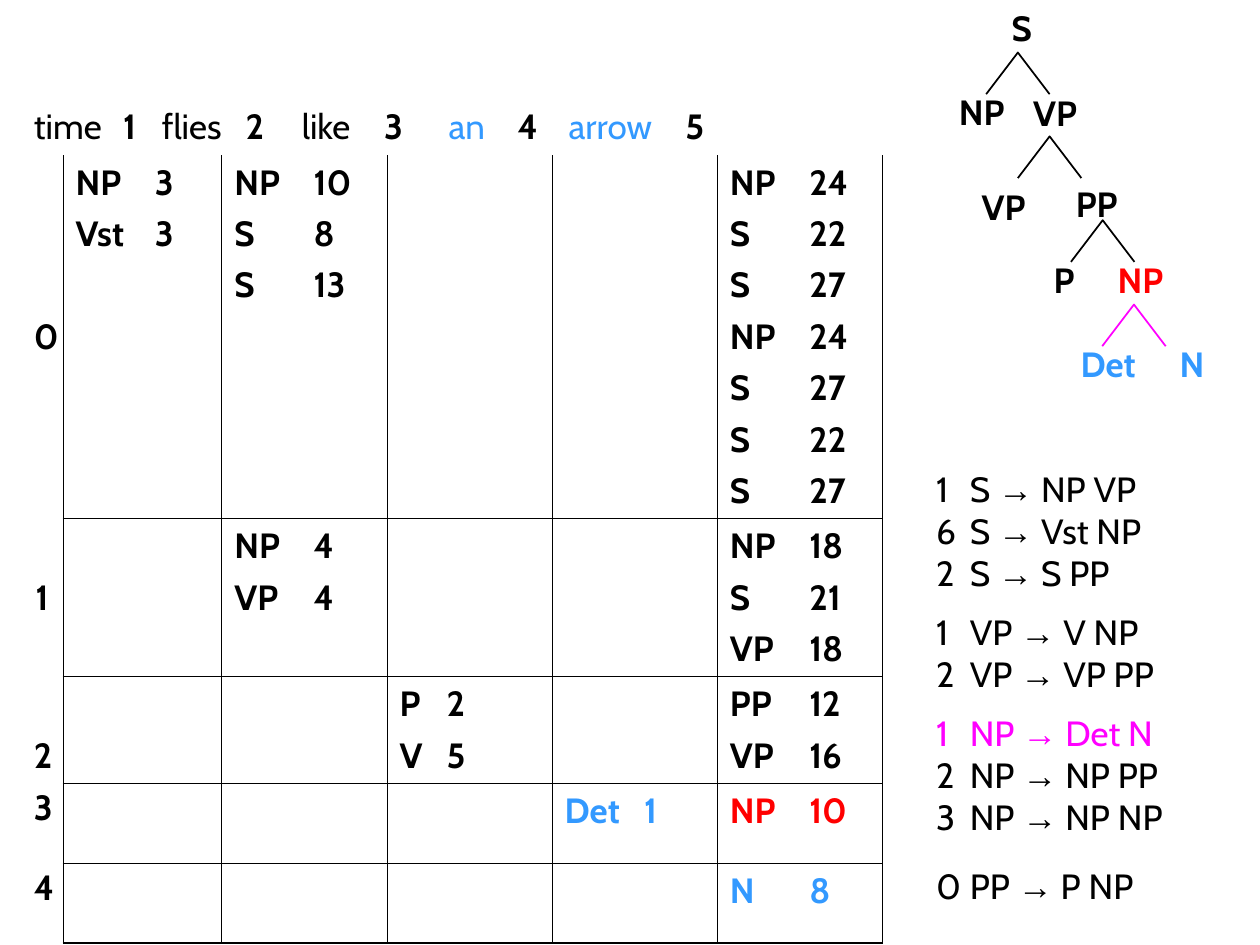
import lxml.etree
import pptx
import pptx.dml.color
import pptx.enum.text
import pptx.oxml.ns
import pptx.util

Cm = pptx.util.Cm
Pt = pptx.util.Pt
RGBColor = pptx.dml.color.RGBColor
CENTER = pptx.enum.text.PP_ALIGN.CENTER
qn = pptx.oxml.ns.qn

BLACK = RGBColor(0x00, 0x00, 0x00)
BLUE = RGBColor(0x33, 0x99, 0xFF)
RED = RGBColor(0xFF, 0x00, 0x00)
PINK = RGBColor(0xFF, 0x00, 0xFF)
FACE = "Cabin"
SIZE = Pt(20)
THIN = Pt(0.45)
THICK = Pt(1.08)

COLS = [0.84, 3.2] + [3.33] * 4
ROWS = [1.09, 7.24, 3.15, 2.13, 1.61, 1.61]
STOPS = [1.8, 2.58, 4.27, 5.4, 7.06, 8.36, 9.75, 10.78, 13.13]
WORDS = [("time", BLACK), ("flies", BLACK), ("like", BLACK), ("an", BLUE), ("arrow", BLUE)]
LABELS = [("0", 1, 3.24), ("1", 2.2, 0.13), ("2", 2.2, 0.13), ("3", 0.9, 0.13), ("4", 0.9, 0.13)]
CHART = [
    (1, 1, "NP\t3\nVst\t3", 1.6, BLACK),
    (1, 2, "NP\t10\nS\t8\nS\t13", 1.6, BLACK),
    (1, 5, "NP\t24\nS\t22\nS\t27\nNP\t24\nS\t27\nS\t22\nS\t27", 1.6, BLACK),
    (2, 2, "NP\t4\nVP\t4", 1.6, BLACK),
    (2, 5, "NP\t18\nS\t21\nVP\t18", 1.6, BLACK),
    (3, 3, "P\t2\nV\t5", 0.95, BLACK),
    (3, 5, "PP\t12\nVP\t16", 1.6, BLACK),
    (4, 4, "Det\t1", 1.6, BLUE),
    (4, 5, "NP\t10", 1.6, RED),
    (5, 5, "N\t8", 1.6, BLUE),
]
RULES = [
    ("1", "S", "NP VP", 0, BLACK),
    ("6", "S", "Vst NP", 0, BLACK),
    ("2", "S", "S PP", 0, BLACK),
    ("1", "VP", "V NP", 9.6, BLACK),
    ("2", "VP", "VP PP", 0, BLACK),
    ("1", "NP", "Det N", 9.6, PINK),
    ("2", "NP", "NP PP", 0, BLACK),
    ("3", "NP", "NP NP", 0, BLACK),
    ("0", "PP", "P NP", 15.4, BLACK),
]
NODES = [
    ("S", 1.57, 0, 0.89, BLACK),
    ("NP", 0.77, 1.7, 1.52, BLACK),
    ("VP", 2.25, 1.73, 1.4, BLACK),
    ("VP", 1.21, 3.61, 1.4, BLACK),
    ("PP", 3.09, 3.56, 1.4, BLACK),
    ("P", 2.43, 5.08, 0.94, BLACK),
    ("NP", 3.97, 5.08, 1.52, RED),
    ("Det", 3.32, 6.78, 1.75, BLUE),
    ("N", 5.01, 6.78, 1.07, BLUE),
]
FORKS = [(1.5, 1.06, BLACK), (2.14, 2.75, BLACK), (3.21, 4.44, BLACK), (3.84, 6.14, PINK)]


def style(run, color, bold, face=FACE):
    run.font.name = face
    run.font.size = SIZE
    run.font.bold = bold
    run.font.color.rgb = color


def add_run(para, text, color, bold, face=FACE):
    run = para.add_run()
    run.text = text
    style(run, color, bold, face)


def set_tabs(para, stops):
    tabs = lxml.etree.SubElement(para._p.get_or_add_pPr(), qn("a:tabLst"))
    for stop in stops:
        lxml.etree.SubElement(tabs, qn("a:tab"), pos=str(int(Cm(stop))), algn="l")


def set_edge(cell, side, width):
    line = lxml.etree.SubElement(cell._tc.get_or_add_tcPr(), qn("a:" + side))
    if not width:
        lxml.etree.SubElement(line, qn("a:noFill"))
        return
    line.set("w", str(int(width)))
    fill = lxml.etree.SubElement(line, qn("a:solidFill"))
    lxml.etree.SubElement(fill, qn("a:srgbClr"), val=str(BLACK))


def rule_cell(cell, row, col):
    body = row > 0
    inner = body and col > 0
    right = THICK if col == len(COLS) - 1 else THIN
    base = THICK if row == len(ROWS) - 1 else THIN
    set_edge(cell, "lnL", THIN if inner else None)
    set_edge(cell, "lnR", right if body else None)
    set_edge(cell, "lnT", THIN if inner and row > 1 else None)
    set_edge(cell, "lnB", base if inner else None)
    cell.fill.background()


def fill_head(cell):
    para = cell.text_frame.paragraphs[0]
    set_tabs(para, STOPS)
    for num, (word, color) in enumerate(WORDS, 1):
        add_run(para, word if num == 1 else "\t" + word, color, False)
        add_run(para, f"\t{num}", BLACK, True)


def fill_label(cell, text, space, top):
    cell.margin_top = Cm(top)
    para = cell.text_frame.paragraphs[0]
    para.text = text
    para.alignment = CENTER
    para.line_spacing = space
    style(para.runs[0], BLACK, True)


def fill_cell(cell, text, stop, color):
    cell.text_frame.text = text
    for num, para in enumerate(cell.text_frame.paragraphs):
        set_tabs(para, [stop])
        if num:
            para.space_before = Pt(5)
        for run in para.runs:
            style(run, color, True)


def add_grid(slide, left, top, width, height):
    frame = slide.shapes.add_table(len(ROWS), len(COLS), Cm(left), Cm(top), Cm(width), Cm(height))
    table = frame.table
    table.first_row = False
    table.horz_banding = False
    for col, size in zip(table.columns, COLS):
        col.width = Cm(size)
    for row, size in zip(table.rows, ROWS):
        row.height = Cm(size)
    for row in range(len(ROWS)):
        for col in range(len(COLS)):
            rule_cell(table.cell(row, col), row, col)
    head = table.cell(0, 0)
    head.merge(table.cell(0, len(COLS) - 1))
    fill_head(head)
    for row, label in enumerate(LABELS, 1):
        fill_label(table.cell(row, 0), *label)
    for row, col, text, stop, color in CHART:
        fill_cell(table.cell(row, col), text, stop, color)


def add_rules(slide, left, top, width, height):
    frame = slide.shapes.add_textbox(Cm(left), Cm(top), Cm(width), Cm(height)).text_frame
    frame.word_wrap = True
    for num, (cost, head, body, gap, color) in enumerate(RULES):
        para = frame.add_paragraph() if num else frame.paragraphs[0]
        set_tabs(para, [0.68])
        if gap:
            para.space_before = Pt(gap)
        add_run(para, f"{cost}\t{head} ", color, False)
        add_run(para, "→", color, False, "Arial")
        add_run(para, f" {body}", color, False)


def add_tree(slide, left, top):
    for text, mid, down, width, color in NODES:
        box = slide.shapes.add_textbox(Cm(left + mid - width / 2), Cm(top + down), Cm(width), Cm(1.12))
        box.text_frame.word_wrap = False
        box.text_frame.text = text
        para = box.text_frame.paragraphs[0]
        para.alignment = CENTER
        style(para.runs[0], color, True)
    for mid, down, color in FORKS:
        apex, peak = left + mid, top + down
        foot = Cm(peak + 0.84)
        path = slide.shapes.build_freeform(Cm(apex - 0.64), foot)
        path.add_line_segments([(Cm(apex), Cm(peak)), (Cm(apex + 0.64), foot)], close=False)
        fork = path.convert_to_shape()
        fork.shadow.inherit = False
        fork.fill.background()
        fork.line.color.rgb = color
        fork.line.width = Pt(1)


def main():
    deck = pptx.Presentation()
    deck.slide_width = Cm(25.4)
    deck.slide_height = Cm(19.05)
    slide = deck.slides.add_slide(deck.slide_layouts[6])
    add_grid(slide, 0.43, 2.01, sum(COLS), sum(ROWS))
    add_rules(slide, 18.62, 9.3, 6.78, 9.14)
    add_tree(slide, 19.02, 0)
    deck.save("out.pptx")


if __name__ == "__main__":
    main()
